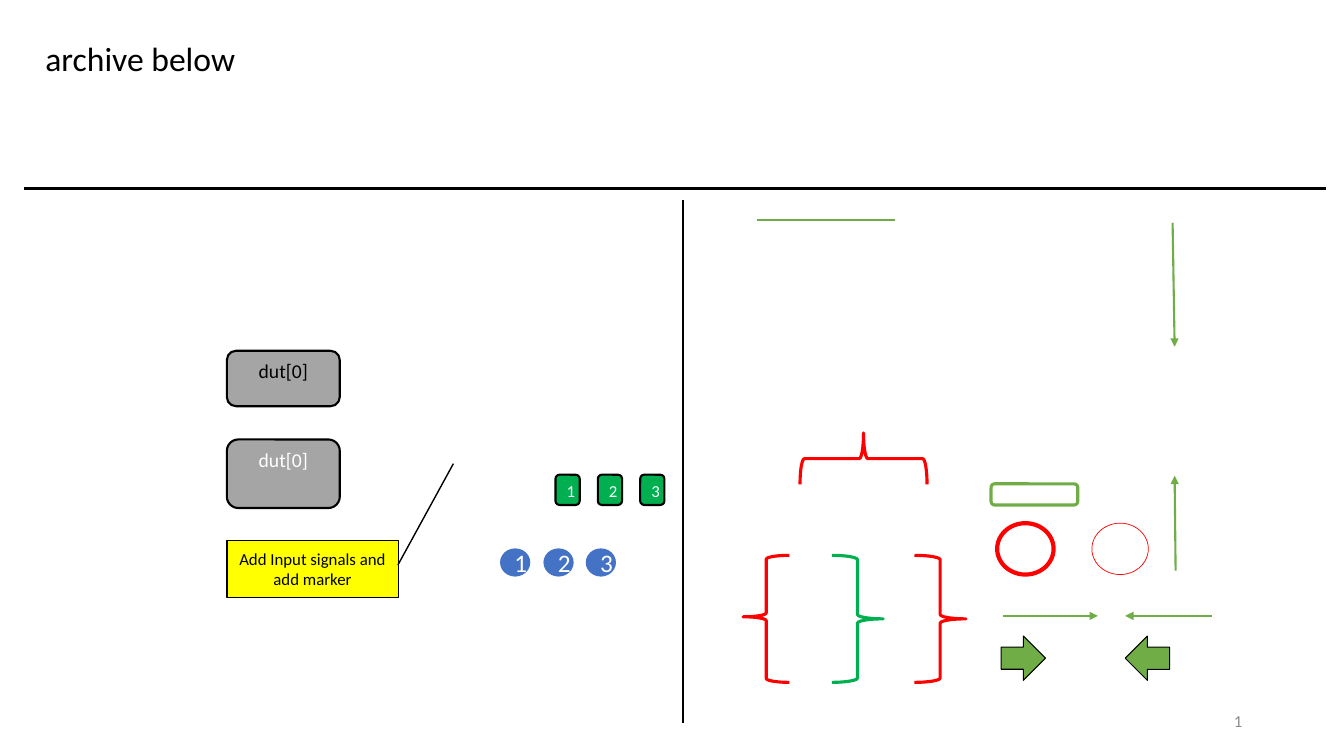
"""Build the "archive below" slide of reusable diagram parts."""
from lxml import etree
from pptx import Presentation
from pptx.dml.color import RGBColor
from pptx.enum.shapes import MSO_CONNECTOR, MSO_SHAPE
from pptx.enum.text import MSO_ANCHOR, PP_ALIGN
from pptx.oxml.ns import qn
from pptx.util import Inches, Pt

ROUNDED = MSO_SHAPE.ROUNDED_RECTANGLE
OVAL = MSO_SHAPE.OVAL
ARROW = MSO_SHAPE.RIGHT_ARROW
LEFT_BRACE = MSO_SHAPE.LEFT_BRACE
RIGHT_BRACE = MSO_SHAPE.RIGHT_BRACE
CALLOUT = MSO_SHAPE.LINE_CALLOUT_1
STRAIGHT = MSO_CONNECTOR.STRAIGHT
TOP, MIDDLE = MSO_ANCHOR.TOP, MSO_ANCHOR.MIDDLE
LEFT, CENTER, RIGHT = PP_ALIGN.LEFT, PP_ALIGN.CENTER, PP_ALIGN.RIGHT

THEME = {
    "font": "Calibri",
    "colors": {
        "black": "000000", "white": "FFFFFF", "gray": "A5A5A5", "number": "8C8C8C",
        "red": "FF0000", "green": "00B050", "leaf": "70AD47", "blue": "4472C4",
        "yellow": "FFFF00",
    },
    "sizes": {"title": 24, "badge": 18, "block": 14, "small": 12},
}
COLORS = {name: RGBColor.from_string(value) for name, value in THEME["colors"].items()}


def write(shape, text, size, color, anchor, alignment):
    """Fill a shape with one formatted paragraph."""
    frame = shape.text_frame
    frame.text = text
    frame.word_wrap = True
    frame.vertical_anchor = anchor
    paragraph = frame.paragraphs[0]
    paragraph.alignment = alignment
    font_format = {"name": THEME["font"], "size": Pt(THEME["sizes"][size])}
    for attribute, value in font_format.items():
        setattr(paragraph.font, attribute, value)
    paragraph.font.color.rgb = COLORS[color]
    return paragraph


def draw(kind, box, fill=None, line=None, width=0, rotation=0, adjustments=()):
    """Add a preset shape with an optional fill and outline."""
    shape = slide.shapes.add_shape(kind, *map(Inches, box))
    shape.shadow.inherit = False
    shape.rotation = rotation
    for index, value in enumerate(adjustments):
        shape.adjustments[index] = value
    for target, color in ((shape.fill, fill), (shape.line.fill, line)):
        if color:
            target.solid()
            target.fore_color.rgb = COLORS[color]
        else:
            target.background()
    if line:
        shape.line.width = Pt(width)
    return shape


presentation = Presentation()
presentation.slide_width = Inches(13.33)
presentation.slide_height = Inches(7.5)
slide = presentation.slides.add_slide(presentation.slide_layouts[5])

title = slide.shapes.title
title_box = {"left": 0.35, "top": 0.27, "width": 12.06, "height": 0.66}
for attribute, value in title_box.items():
    setattr(title, attribute, Inches(value))
write(title, "archive below", "title", "black", MIDDLE, LEFT).line_spacing = 0.9

lines = [
    ((13.15, 1.87), (0.24, 1.87), "black", False),
    ((6.77, 1.98), (6.77, 7.17), "black", False),
    ((7.51, 2.18), (8.88, 2.18), "leaf", False),
    ((9.95, 6.11), (10.89, 6.11), "leaf", True),
    ((12.02, 6.11), (11.16, 6.11), "leaf", True),
    ((11.66, 5.66), (11.65, 4.72), "leaf", True),
    ((11.63, 2.21), (11.65, 3.44), "leaf", True),
]
for start, end, color, has_arrow in lines:
    connector = slide.shapes.add_connector(STRAIGHT, *map(Inches, start + end))
    connector.line.color.rgb = COLORS[color]
    connector.line.width = Pt(1.5)
    if has_arrow:
        etree.SubElement(connector.line._ln, qn("a:tailEnd"), type="triangle")
    etree.SubElement(connector._element.spPr, qn("a:effectLst"))

draw(ROUNDED, (9.83, 4.8, 0.86, 0.21), line="leaf", width=2.25)
for left, width in ((9.89, 3), (10.83, 0.5)):
    draw(OVAL, (left, 5.19, 0.56, 0.51), line="red", width=width)
for left, rotation in ((9.93, 0), (11.16, 180)):
    draw(ARROW, (left, 6.31, 0.44, 0.44), "leaf", "black", 0.75, rotation)

braces = [
    (RIGHT_BRACE, (9.07, 5.51, 0.51, 1.26), "red", 0, ()),
    (RIGHT_BRACE, (8.25, 5.51, 0.51, 1.26), "green", 0, ()),
    (LEFT_BRACE, (7.37, 5.51, 0.46, 1.26), "red", 0, (0.083, 0.484)),
    (RIGHT_BRACE, (8.31, 3.92, 0.51, 1.26), "red", 270, ()),
]
for kind, box, color, rotation, adjustments in braces:
    draw(kind, box, None, color, 2.25, rotation, adjustments)

for top, height, color in ((3.48, 0.55, "black"), (4.36, 0.68, "white")):
    block = draw(ROUNDED, (2.25, top, 1.12, height), "gray", "black", 1.5)
    write(block, "dut[0]", "block", color, TOP, CENTER)

for index, circle_left in enumerate((4.96, 5.39, 5.81)):
    number = str(index + 1)
    tag = draw(ROUNDED, (5.51 + 0.42 * index, 4.71, 0.24, 0.3), "green", "black", 1.5)
    write(tag, number, "small", "white", TOP, CENTER)
    circle = draw(OVAL, (circle_left, 5.44, 0.3, 0.28), "blue")
    write(circle, number, "badge", "white", MIDDLE, CENTER)

callout = draw(CALLOUT, (2.25, 5.36, 1.7, 0.57), "yellow", "black", 1,
               adjustments=(0.433, 0.998, -1.333, 1.322))
write(callout, "Add Input signals and add marker", "small", "black", MIDDLE, CENTER)

slide_number = slide.shapes.add_textbox(*map(Inches, (9.42, 6.95, 3, 0.4)))
write(slide_number, "1", "small", "number", MIDDLE, RIGHT)

presentation.save("out.pptx")
